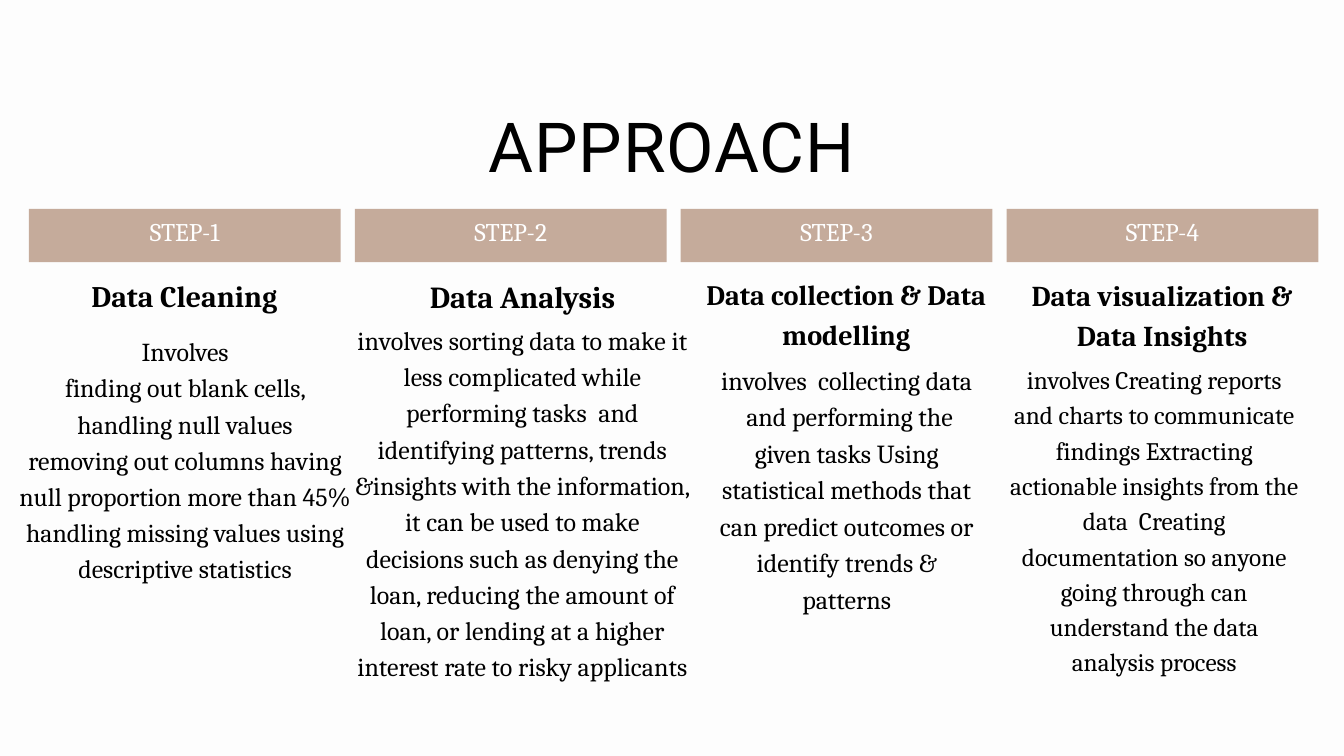
from dataclasses import dataclass

from pptx import Presentation, util as u
from pptx.dml.color import RGBColor
from pptx.enum import shapes, text


@dataclass(frozen=True)
class Theme:
    background: RGBColor = RGBColor(0xFD, 0xFD, 0xFD)
    banner: RGBColor = RGBColor(0xC5, 0xAB, 0x9B)
    ink: RGBColor = RGBColor(0, 0, 0)
    banner_ink: RGBColor = RGBColor(0xFF, 0xFF, 0xFF)
    title_font: str = "Roboto"
    body_font: str = "Cambria"
    title_size: float = 73.9
    step_size: float = 27.2
    heading_sizes: tuple = (32, 32.8, 30.2, 30.8)
    body_sizes: tuple = (27.7, 27.8, 27.9, 27)
    leading: float = 1.4


THEME = Theme()

# Banner grid, in inches
BANNER_LEFT, BANNER_TOP = 0.43, 3.11
BANNER_WIDTH, BANNER_HEIGHT = 4.64, 0.79
BANNER_PITCH = 4.85

# Each step: heading, heading box, body paragraphs, body box
STEPS = [
    ("Data Cleaning", (0.75, 4.05, 3.99, 0.59),
     ["Involves",
      "finding out blank cells, handling null values",
      "removing out columns having null proportion more than 45%",
      "handling missing values using descriptive statistics"],
     (0.25, 4.92, 5.01, 5.82)),
    ("Data Analysis", (5.19, 4.04, 5.17, 0.62),
     ["involves sorting data to make it less complicated while performing "
      "tasks  and identifying patterns, trends &insights with the "
      "information, it can be used to make decisions such as denying the "
      "loan, reducing the amount of loan, or lending at a higher interest "
      "rate to risky applicants"],
     (5.26, 4.75, 5.03, 5.82)),
    ("Data collection & Data modelling", (10.46, 4.05, 4.27, 1.15),
     ["involves  collecting data  and performing the given tasks Using "
      "statistical methods that can predict outcomes or identify trends & "
      "patterns"],
     (10.7, 5.34, 3.8, 4.32)),
    ("Data visualization & Data Insights", (15.18, 4.05, 4.23, 1.17),
     ["involves Creating reports and charts to communicate findings "
      "Extracting actionable insights from the data  Creating documentation "
      "so anyone going through can understand the data analysis process"],
     (14.98, 5.35, 4.39, 4.66)),
]


def add_text(parent, box, paragraphs, size, font=THEME.body_font,
             color=THEME.ink, bold=False, grow=True, spacing=None):
    """Add a centred text box without margins, one run per paragraph."""
    shape = parent.add_textbox(*map(u.Inches, box))
    frame = shape.text_frame
    frame.word_wrap = True
    frame.margin_left = frame.margin_right = 0
    frame.margin_top = frame.margin_bottom = 0
    if grow:
        frame.auto_size = text.MSO_AUTO_SIZE.SHAPE_TO_FIT_TEXT
    else:
        frame.vertical_anchor = text.MSO_ANCHOR.MIDDLE
    for index, words in enumerate(paragraphs):
        paragraph = frame.add_paragraph() if index else frame.paragraphs[0]
        paragraph.alignment = text.PP_ALIGN.CENTER
        paragraph.line_spacing = u.Pt(round(size * THEME.leading, 1))
        run = paragraph.add_run()
        run.text = words
        run.font.name = font
        run.font.size = u.Pt(size)
        run.font.bold = bold
        run.font.color.rgb = color
        if spacing:
            run.font._element.set("spc", str(spacing))


def add_banner(slide, index):
    """Add a grouped step banner with its label."""
    left = BANNER_LEFT + index * BANNER_PITCH
    group = slide.shapes.add_group_shape().shapes
    bar = group.add_shape(
        shapes.MSO_SHAPE.RECTANGLE, u.Inches(left), u.Inches(BANNER_TOP),
        u.Inches(BANNER_WIDTH), u.Inches(BANNER_HEIGHT))
    bar.shadow.inherit = False
    bar.fill.solid()
    bar.fill.fore_color.rgb = THEME.banner
    bar.line.fill.background()
    add_text(group, (left, 2.9, BANNER_WIDTH, 1), [f"STEP-{index + 1}"],
             THEME.step_size, color=THEME.banner_ink, grow=False)


def main():
    presentation = Presentation()
    presentation.slide_width = u.Inches(20)
    presentation.slide_height = u.Inches(11.25)
    slide = presentation.slides.add_slide(presentation.slide_layouts[6])
    slide.background.fill.solid()
    slide.background.fill.fore_color.rgb = THEME.background

    # Title
    add_text(slide.shapes, (4.79, 1.33, 10.42, 1.4), ["APPROACH"],
             THEME.title_size, font=THEME.title_font, spacing=100)

    # Step columns
    for index, (heading, heading_box, body, body_box) in enumerate(STEPS):
        add_banner(slide, index)
        add_text(slide.shapes, heading_box, [heading],
                 THEME.heading_sizes[index], bold=True)
        add_text(slide.shapes, body_box, body, THEME.body_sizes[index])

    presentation.save("out.pptx")


if __name__ == "__main__":
    main()
